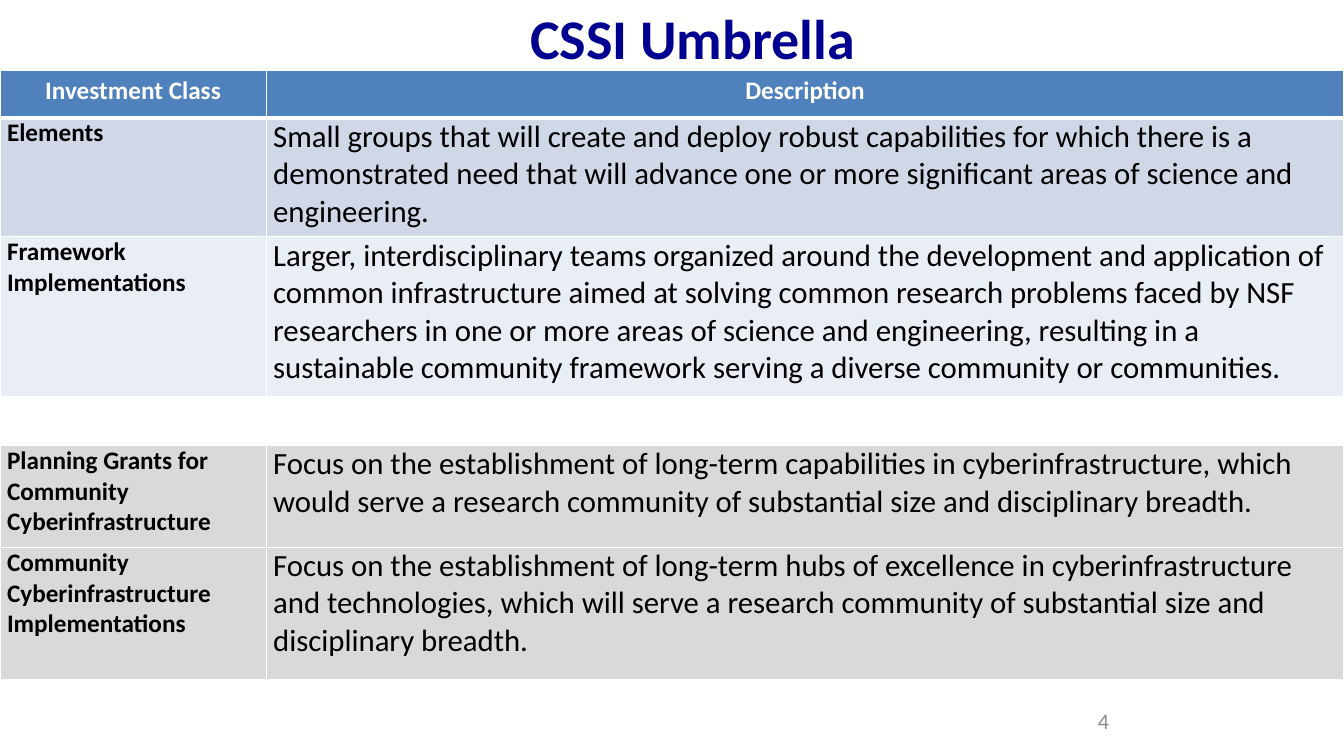
"""Build the CSSI Umbrella slide with its table of investment classes."""
from dataclasses import dataclass

from lxml.etree import SubElement
from pptx import Presentation
from pptx.dml.color import RGBColor
from pptx.enum.text import MSO_ANCHOR, PP_ALIGN
from pptx.oxml.ns import qn
from pptx.util import Inches, Pt


@dataclass(frozen=True)
class Theme:
    font: str = "Calibri"
    title: str = "000090"
    header: str = "4F81BD"
    elements: str = "D0D8E8"
    frameworks: str = "E9EDF4"
    community: str = "D9D9D9"
    white: str = "FFFFFF"
    black: str = "000000"
    number: str = "8C8C8C"
    title_size: float = 40
    label_size: float = 18
    body_size: float = 22
    number_size: float = 15.8


theme = Theme()


def format_text(frame, size, color, bold, alignment):
    for paragraph in frame.paragraphs:
        paragraph.alignment = alignment
        paragraph.font.name = theme.font
        paragraph.font.size = Pt(size)
        paragraph.font.bold = bold
        paragraph.font.color.rgb = RGBColor.from_string(color)


def add_border(cell, side, points):
    line = SubElement(cell._tc.get_or_add_tcPr(), qn(f"a:ln{side}"), w=str(Pt(points)))
    fill = SubElement(line, qn("a:solidFill"))
    SubElement(fill, qn("a:srgbClr"), val=theme.white)


presentation = Presentation()
presentation.slide_width = Inches(13.33)
presentation.slide_height = Inches(7.5)
slide = presentation.slides.add_slide(presentation.slide_layouts[5])

title = slide.shapes.title
title.left, title.top = Inches(2.33), Inches(-0.05)
title.width, title.height = Inches(9.08), Inches(0.83)
title.text_frame.text = "CSSI Umbrella"
title.text_frame.vertical_anchor = MSO_ANCHOR.MIDDLE
format_text(title.text_frame, theme.title_size, theme.title, True, PP_ALIGN.CENTER)

rows = [
    (0.47, theme.header, "Investment Class", "Description"),
    (1.18, theme.elements, "Elements",
     "Small groups that will create and deploy robust capabilities for which there is a "
     "demonstrated need that will advance one or more significant areas of science and "
     "engineering."),
    (1.59, theme.frameworks, "Framework\nImplementations",
     "Larger, interdisciplinary teams organized around the development and application of "
     "common infrastructure aimed at solving common research problems faced by NSF "
     "researchers in one or more areas of science and engineering, resulting in a "
     "sustainable community framework serving a diverse community or communities."),
    (0.48, theme.white, "", ""),
    (1.01, theme.community, "Planning Grants for Community Cyberinfrastructure",
     "Focus on the establishment of long-term capabilities in cyberinfrastructure, which "
     "would serve a research community of substantial size and disciplinary breadth."),
    (1.31, theme.community, "Community Cyberinfrastructure Implementations",
     "Focus on the establishment of long-term hubs of excellence in cyberinfrastructure "
     "and technologies, which will serve a research community of substantial size and "
     "disciplinary breadth."),
]
table_height = sum(row[0] for row in rows)
table = slide.shapes.add_table(
    len(rows), 2, Inches(0), Inches(0.7), Inches(13.33), Inches(table_height)).table
table.columns[0].width = Inches(2.64)
table.columns[1].width = Inches(10.69)

for row_index, (height, color, *texts) in enumerate(rows):
    table.rows[row_index].height = Inches(height)
    is_header = row_index == 0
    for column_index, text in enumerate(texts):
        cell = table.cell(row_index, column_index)
        for side in "LRTB":
            header_edge = (row_index, side) in ((0, "B"), (1, "T"))
            add_border(cell, side, 3 if header_edge else 1)
        cell.fill.solid()
        cell.fill.fore_color.rgb = RGBColor.from_string(color)
        if not text:
            continue
        cell.text_frame.text = text
        is_label = is_header or column_index == 0
        format_text(cell.text_frame,
                    theme.label_size if is_label else theme.body_size,
                    theme.white if is_header else theme.black,
                    is_label,
                    PP_ALIGN.CENTER if is_header else PP_ALIGN.LEFT)
        if not is_header:
            cell.margin_left = cell.margin_right = Inches(0.07)
            cell.margin_top = cell.margin_bottom = Inches(0)

number_box = slide.shapes.add_textbox(Inches(8.83), Inches(6.95), Inches(2.33), Inches(0.4))
number_frame = number_box.text_frame
number_frame.word_wrap = True
number_frame.text = "4"
number_frame.vertical_anchor = MSO_ANCHOR.MIDDLE
format_text(number_frame, theme.number_size, theme.number, False, PP_ALIGN.RIGHT)

for frame in (title.text_frame, number_frame):
    frame.margin_left = frame.margin_right = Inches(0.16)
    frame.margin_top = frame.margin_bottom = Inches(0.08)

presentation.save("out.pptx")
